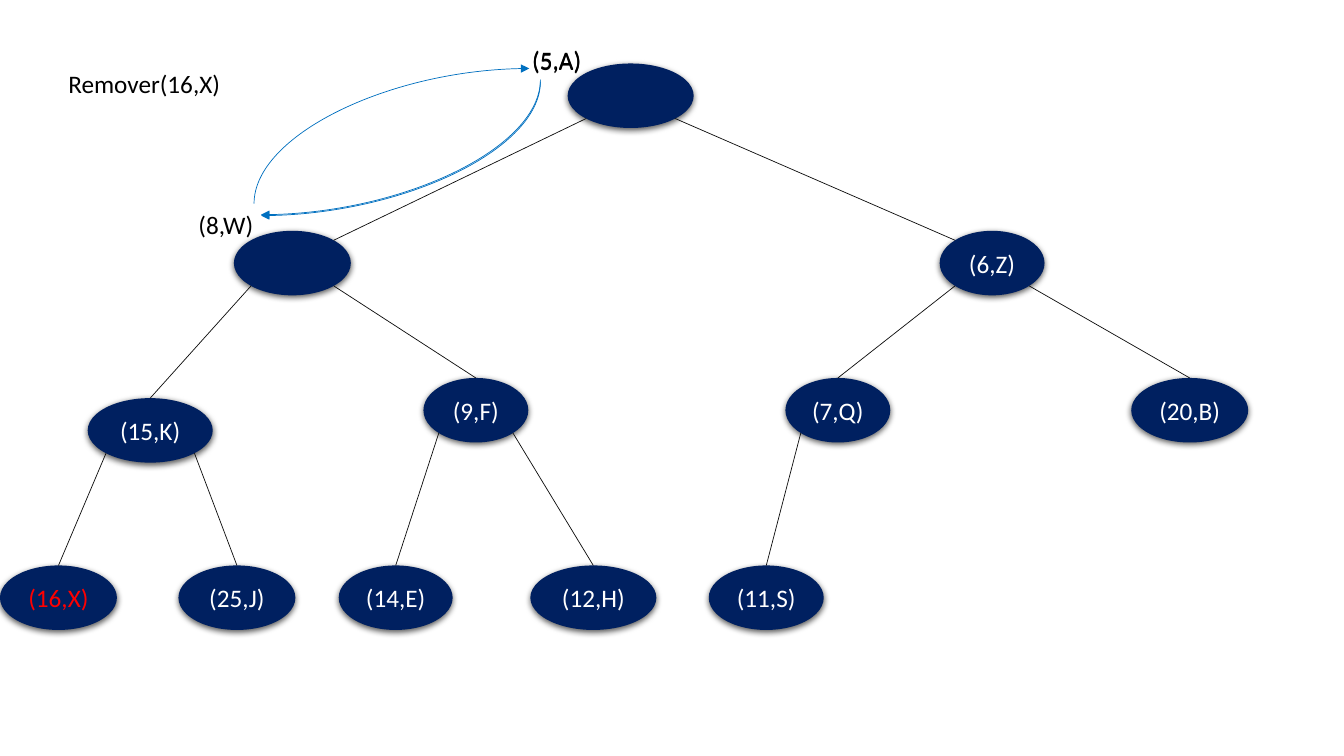
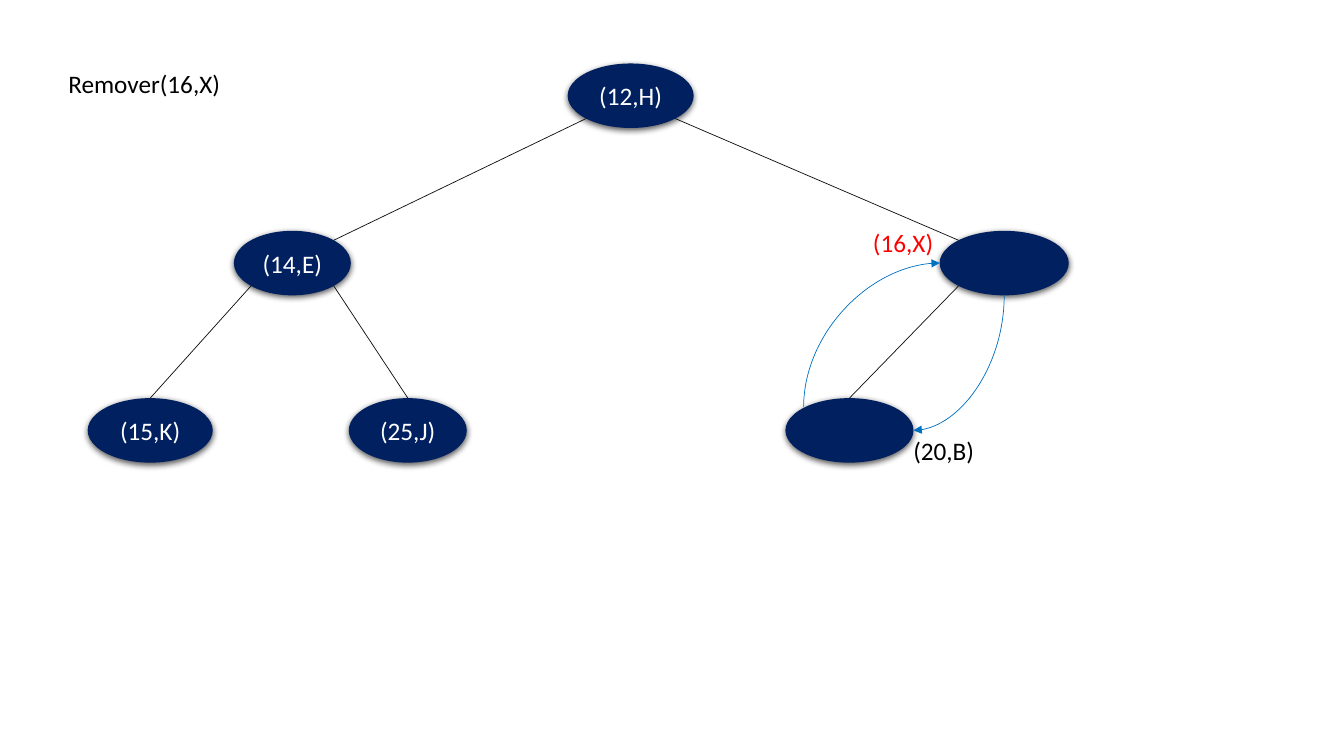
from math import sqrt

from lxml import etree
from pptx import Presentation
from pptx.dml.color import RGBColor
from pptx.enum.shapes import MSO_CONNECTOR, MSO_SHAPE
from pptx.enum.text import MSO_ANCHOR, MSO_AUTO_SIZE, PP_ALIGN
from pptx.oxml import parse_xml
from pptx.oxml.ns import nsdecls, qn
from pptx.util import Inches, Pt

STRAIGHT, CURVE = MSO_CONNECTOR.STRAIGHT, MSO_CONNECTOR.CURVE
OVAL = MSO_SHAPE.OVAL
MIDDLE, CENTER = MSO_ANCHOR.MIDDLE, PP_ALIGN.CENTER
FIT_TEXT = MSO_AUTO_SIZE.SHAPE_TO_FIT_TEXT

NAVY = RGBColor(0x00, 0x20, 0x60)
BLUE = RGBColor(0x00, 0x70, 0xC0)
INK = RGBColor(0x0D, 0x0D, 0x0D)
BLACK = RGBColor(0x00, 0x00, 0x00)
WHITE = RGBColor(0xFF, 0xFF, 0xFF)
RED = RGBColor(0xFF, 0x00, 0x00)

REMOVED = "(16,X)"
NODE_H = 0.64
LEVEL_STEP = 1.66
TREE_LEFT, TREE_TOP = 0, 0.63
DIAGONAL = sqrt(0.5)
SHADOW = (
    f'<a:effectLst {nsdecls("a")}>'
    '<a:outerShdw blurRad="57150" dist="19050" dir="5400000" algn="ctr" rotWithShape="0">'
    '<a:srgbClr val="000000"><a:alpha val="63000"/></a:srgbClr>'
    '</a:outerShdw></a:effectLst>'
)


def write(tf, text, color):
    """Write one run, with the removed entry always in red."""
    r = tf.paragraphs[0].add_run()
    r.text = text
    r.font.name = "Calibri"
    r.font.size = Pt(18)
    r.font.color.rgb = RED if text == REMOVED else color


def add_label(s, x, y, w, text, wrap=True):
    """Add a text box that grows with its text."""
    tf = s.shapes.add_textbox(Inches(x), Inches(y), Inches(w), Inches(0.4)).text_frame
    tf.word_wrap = wrap
    tf.auto_size = FIT_TEXT
    write(tf, text, BLACK)


def add_line(s, kind, start, end, color):
    """Add a thin connector without a shadow."""
    c = s.shapes.add_connector(kind, *(Inches(v) for v in (*start, *end)))
    c.line.color.rgb = color
    c.line.width = Pt(0.5)
    etree.SubElement(c._element.spPr, qn("a:effectLst"))
    return c


def add_swap_arrow(s, start, end):
    """Add a quarter curve that leaves vertically and arrives horizontally."""
    (x1, y1), (x2, y2) = start, end
    cx, cy = (x1 + x2) / 2, (y1 + y2) / 2
    dx, dy = (y2 - y1) / 2, (x1 - x2) / 2
    c = add_line(s, CURVE, (cx - dx, cy - dy), (cx + dx, cy + dy), BLUE)
    sp_pr = c._element.spPr
    sp_pr.find(qn("a:xfrm")).set("rot", "5400000")
    sp_pr.find(qn("a:prstGeom")).set("prst", "curvedConnector2")
    etree.SubElement(sp_pr.find(qn("a:ln")), qn("a:tailEnd"), type="triangle")


def add_node(s, x, y, w, text):
    """Add one heap entry as a shadowed ellipse."""
    sp = s.shapes.add_shape(OVAL, Inches(x), Inches(y), Inches(w), Inches(NODE_H))
    sp.fill.solid()
    sp.fill.fore_color.rgb = NAVY
    sp.line.fill.background()
    sp._element.spPr.append(parse_xml(SHADOW))
    if text:
        tf = sp.text_frame
        tf.word_wrap = False
        tf.vertical_anchor = MIDDLE
        tf.paragraphs[0].alignment = CENTER
        write(tf, text, WHITE)


def rim(box, across, down):
    """Return the point of an ellipse's rim in the given direction."""
    x, y, w = box
    reach = DIAGONAL if across else 1
    return x + w / 2 * (1 + across * reach), y + NODE_H / 2 * (1 + down * reach)


def add_heap(s, left, top, nodes):
    """Draw a heap in array order, each entry linked to its parent."""
    boxes = []
    for i, (x, w, text, lift) in enumerate(nodes):
        level = (i + 1).bit_length() - 1
        boxes.append((left + x, top + level * LEVEL_STEP - lift, w))
        add_node(s, *boxes[i], text)
    for i, box in enumerate(boxes[1:], 1):
        side = -1 if i % 2 else 1
        across = -side if i < 3 else 0
        add_line(s, STRAIGHT, rim(boxes[(i - 1) // 2], side, 1), rim(box, across, -1), INK)


def add_removal_slide(prs, nodes, swaps, labels):
    """Add a slide with the heading, the heap and the swap in progress."""
    s = prs.slides.add_slide(prs.slide_layouts[6])
    add_heap(s, TREE_LEFT, TREE_TOP, nodes)
    add_label(s, 0.58, 0.63, 1.73, "Remover(16,X)", wrap=False)
    for start, end in swaps:
        add_swap_arrow(s, start, end)
    for label in labels:
        add_label(s, *label)


FULL_HEAP = [
    (5.63, 1.25, "", 0),
    (2.32, 1.16, "", 0),
    (9.32, 1.04, "(6,Z)", 0),
    (0.87, 1.24, "(15,K)", 0),
    (4.2, 1.04, "(9,F)", 0.2),
    (7.79, 1.04, "(7,Q)", 0.2),
    (11.22, 1.16, "(20,B)", 0.2),
    (0, 1.16, REMOVED, 0),
    (1.77, 1.16, "(25,J)", 0),
    (3.36, 1.13, "(14,E)", 0),
    (5.26, 1.25, "(12,H)", 0),
    (7.03, 1.14, "(11,S)", 0),
]
FULL_SWAPS = [
    ((2.52, 2.02), (5.25, 0.68)),
    ((5.36, 0.81), (2.59, 2.14)),
    ((5.36, 0.79), (2.59, 2.13)),
]
FULL_LABELS = [
    (1.87, 2.03, 0.77, "(8,W)"),
    (5.18, 0.4, 0.77, "(5,A)"),
    (5.18, 0.39, 0.77, "(5,A)"),
]

SMALL_HEAP = [
    (5.63, 1.25, "(12,H)", 0),
    (2.32, 1.16, "(14,E)", 0),
    (9.32, 1.28, "", 0),
    (0.87, 1.24, "(15,K)", 0),
    (3.46, 1.17, "(25,J)", 0),
    (7.79, 1.27, "", 0),
]
SMALL_SWAPS = [
    ((7.97, 4.04), (9.32, 2.61)),
    ((9.96, 2.93), (9.06, 4.27)),
]
SMALL_LABELS = [
    (8.56, 2.21, 0.84, REMOVED),
    (8.96, 4.27, 0.84, "(20,B)"),
]

prs = Presentation()
prs.slide_width, prs.slide_height = Inches(13.33), Inches(7.5)
add_removal_slide(prs, FULL_HEAP, FULL_SWAPS, FULL_LABELS)
add_removal_slide(prs, SMALL_HEAP, SMALL_SWAPS, SMALL_LABELS)
prs.save("out.pptx")
